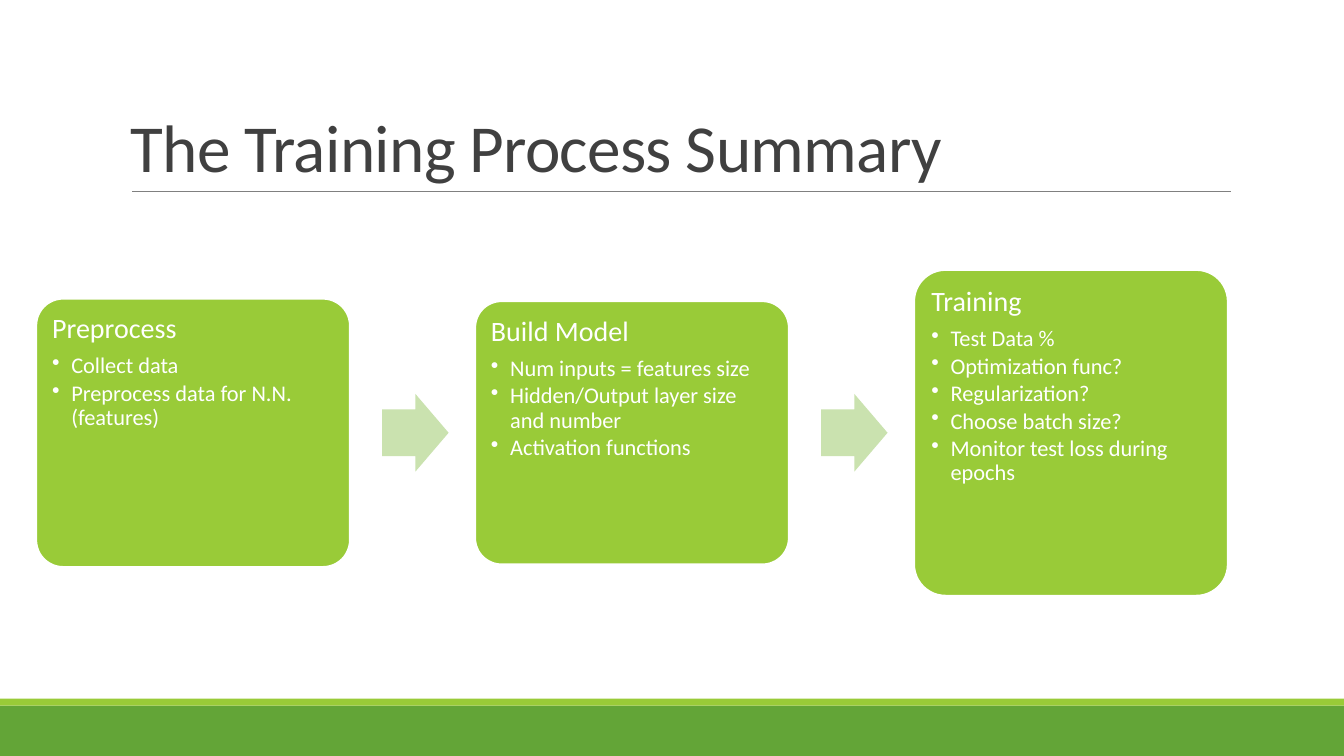
from dataclasses import dataclass
from lxml.etree import SubElement
from pptx import Presentation
from pptx.dml.color import RGBColor
from pptx.enum.shapes import MSO_CONNECTOR, MSO_SHAPE
from pptx.enum.text import MSO_ANCHOR, PP_ALIGN
from pptx.oxml.ns import qn
from pptx.util import Inches, Pt

WIDE, HIGH = Inches(13.33), Inches(7.5)


@dataclass(frozen=True)
class Theme:
    font: str = "Calibri"
    dark: str = "404040"
    rule: str = "808080"
    band: str = "63A537"
    lime: str = "99CB38"
    pale: str = "CAE2AF"
    white: str = "FFFFFF"
    title: int = 48
    head: int = 20
    body: int = 16


THEME = Theme()
MID = 57.25
LEFT, STEP = 2.7, 32.66
CARD = 23.33
CARDS = [
    (35.47, "Preprocess", ["Collect data", "Preprocess data for N.N. (features)"]),
    (34.8, "Build Model", ["Num inputs = features size",
                           "Hidden/Output layer size and number",
                           "Activation functions"]),
    (43.07, "Training", ["Test Data %", "Optimization func?", "Regularization?",
                         "Choose batch size?", "Monitor test loss during epochs"]),
]


def across(share):
    return round(WIDE * share / 100)


def down(share):
    return round(HIGH * share / 100)


def place(x, y, w, h):
    return across(x), down(y), across(w), down(h)


def add_block(slide, kind, area, fill, edge=None, bends=()):
    block = slide.shapes.add_shape(kind, *place(*area))
    block.shadow.inherit = False
    block.fill.solid()
    block.fill.fore_color.rgb = RGBColor.from_string(fill)
    if edge:
        block.line.color.rgb = RGBColor.from_string(edge)
        block.line.width = Pt(1.25)
    else:
        block.line.fill.background()
    for spot, bend in enumerate(bends):
        block.adjustments[spot] = bend
    return block


def set_frame(frame, anchor, side, edge):
    frame.word_wrap = True
    frame.vertical_anchor = anchor
    frame.margin_left = frame.margin_right = Inches(side)
    frame.margin_top = frame.margin_bottom = Inches(edge)


def add_text(frame, text, size, color, lines=0.9, after=0, bullet=False, track=0):
    para = frame.paragraphs[0]
    if para.runs:
        para = frame.add_paragraph()
    para.alignment = PP_ALIGN.LEFT
    para.line_spacing = lines
    para.space_after = Pt(after)
    if bullet:
        props = para._p.get_or_add_pPr()
        props.set("marL", str(Inches(0.19)))
        props.set("indent", str(-Inches(0.19)))
        SubElement(props, qn("a:buChar")).set("char", "•")
    run = para.add_run()
    run.text = text
    run.font.name = THEME.font
    run.font.size = Pt(size)
    run.font.color.rgb = RGBColor.from_string(color)
    if track:
        run.font._element.set("spc", str(round(track * 100)))


def add_title(slide, text):
    box = slide.shapes.add_textbox(*place(9, 4.13, 82.5, 21.2))
    set_frame(box.text_frame, MSO_ANCHOR.BOTTOM, 0.1, 0.05)
    add_text(box.text_frame, text, THEME.title, THEME.dark, lines=0.85, track=-0.5)


def add_rule(slide, start, end, y):
    rule = slide.shapes.add_connector(
        MSO_CONNECTOR.STRAIGHT, across(start), down(y), across(end), down(y))
    rule.line.color.rgb = RGBColor.from_string(THEME.rule)
    rule.line.width = Pt(0.5)
    SubElement(rule._element.spPr, qn("a:effectLst"))


def add_card(slide, x, tall, head, points):
    area = x, MID - tall / 2, CARD, tall
    card = add_block(slide, MSO_SHAPE.ROUNDED_RECTANGLE, area, THEME.lime,
                     edge=THEME.white, bends=[0.1])
    frame = card.text_frame
    set_frame(frame, MSO_ANCHOR.TOP, 0.08, 0.08)
    add_text(frame, head, THEME.head, THEME.white, after=7)
    for point in points:
        add_text(frame, point, THEME.body, THEME.white, after=2.4, bullet=True)


def add_arrow(slide, x):
    tall = 10.3
    add_block(slide, MSO_SHAPE.RIGHT_ARROW, (x, MID - tall / 2, 4.95, tall),
              THEME.pale, bends=[0.6, 0.5])


def main():
    deck = Presentation()
    deck.slide_width, deck.slide_height = WIDE, HIGH
    slide = deck.slides.add_slide(deck.slide_layouts[6])
    add_block(slide, MSO_SHAPE.RECTANGLE, (0, 93.33, 100, 6.67), THEME.band)
    add_block(slide, MSO_SHAPE.RECTANGLE, (0, 92.4, 100, 0.93), THEME.lime)
    add_rule(slide, 9.83, 91.6, 25.33)
    add_title(slide, "The Training Process Summary")
    for order, (tall, head, points) in enumerate(CARDS):
        x = LEFT + order * STEP
        add_card(slide, x, tall, head, points)
        if order < len(CARDS) - 1:
            add_arrow(slide, x + CARD + 2.4)
    deck.save("out.pptx")


if __name__ == "__main__":
    main()
